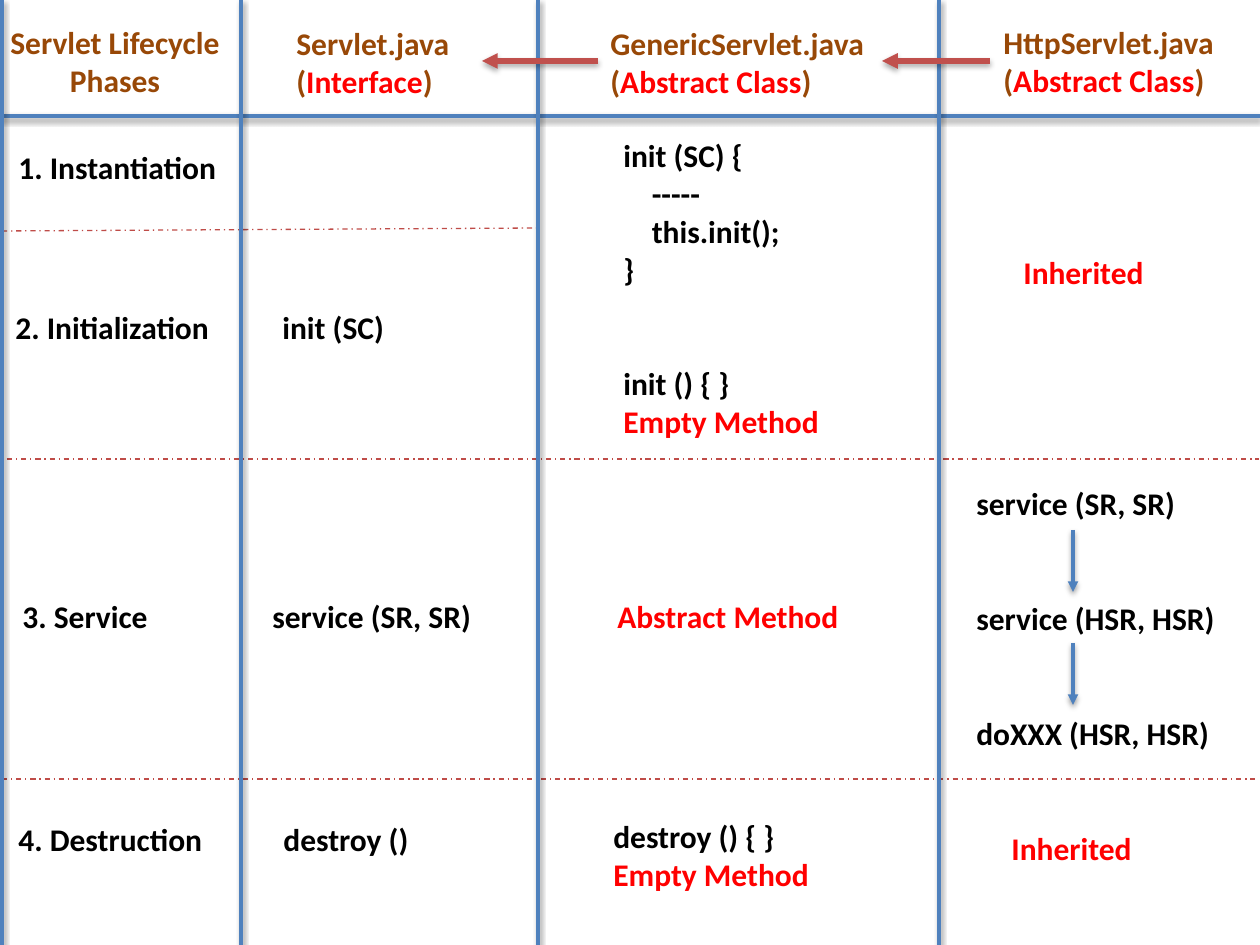
from lxml import etree
from pptx import Presentation, util as u
from pptx.dml.color import RGBColor
from pptx.enum import dml, shapes, text
from pptx.oxml import parse_xml
from pptx.oxml.ns import nsdecls, qn

PX = 914400 / 126
BLACK = RGBColor(0x00, 0x00, 0x00)
RED = RGBColor(0xFF, 0x00, 0x00)
BROWN = RGBColor(0x98, 0x48, 0x07)
BLUE = RGBColor(0x4F, 0x81, 0xBD)
BRICK = RGBColor(0xC0, 0x50, 0x4D)
DASH_RED = RGBColor(0xBF, 0x4C, 0x48)
TWO_LINES = 44

prs = Presentation()
prs.slide_width = u.Inches(10)
prs.slide_height = u.Inches(7.5)
s = prs.slides.add_slide(prs.slide_layouts[6])


def add_text(x, y, w, h, paragraphs, wrap=True, align=text.PP_ALIGN.LEFT):
    """Each paragraph is (space before in points, [(run text, colour), ...])."""
    sp = s.shapes.add_textbox(*(int(v * PX) for v in (x, y, w, h)))
    tf = sp.text_frame
    tf.word_wrap = wrap
    for i, (gap, runs) in enumerate(paragraphs):
        p = tf.paragraphs[0] if i == 0 else tf.add_paragraph()
        p.alignment = align
        if gap:
            p.space_before = u.Pt(gap)
        p.font.name, p.font.size, p.font.bold = "Calibri", u.Pt(18), True
        if len(runs) == 1:
            p.font.color.rgb = runs[0][1]
        for content, color in runs:
            r = p.add_run()
            r.text = content
            if len(runs) > 1:
                r.font.color.rgb = color


def add_line(x1, y1, x2, y2, color, width, dash=None, arrow=False, shadow=None):
    """shadow is (distance in EMU, opacity in thousandths of a percent)."""
    c = s.shapes.add_connector(shapes.MSO_CONNECTOR.STRAIGHT,
                               *(int(v * PX) for v in (x1, y1, x2, y2)))
    c.line.color.rgb = color
    c.line.width = u.Pt(width)
    if dash:
        c.line.dash_style = dash
    if arrow:
        etree.SubElement(c.line._get_or_add_ln(), qn("a:tailEnd"), type="triangle")
    effect = ""
    if shadow:
        distance, alpha = shadow
        effect = (f'<a:outerShdw blurRad="40000" dist="{distance}" dir="5400000" rotWithShape="0">'
                  f'<a:srgbClr val="000000"><a:alpha val="{alpha}"/></a:srgbClr></a:outerShdw>')
    c._element.spPr.append(parse_xml(f'<a:effectLst {nsdecls("a")}>{effect}</a:effectLst>'))


# Column headings
add_text(-8, 17, 246, 89, [(0, [("Servlet Lifecycle Phases", BROWN)])],
         align=text.PP_ALIGN.CENTER)
for x, y, w, name, kind in [
    (284, 18, 199, "Servlet.java", "Interface"),
    (598, 18, 285, "GenericServlet.java", "Abstract Class"),
    (991, 17, 248, "HttpServlet.java", "Abstract Class"),
]:
    add_text(x, y, w, 89, [(0, [(name, BROWN)]),
                           (0, [("(", BROWN), (kind, RED), (")", BROWN)])])

# Single-line cells
for x, y, w, label, color, wrap in [
    (6, 142, 226, "1. Instantiation", BLACK, True),
    (3, 302, 219, "2. Initialization", BLACK, True),
    (10, 591, 192, "3. Service", BLACK, True),
    (6, 814, 217, "4. Destruction", BLACK, True),
    (270, 302, 171, "init (SC)", BLACK, True),
    (260, 591, 228, "service (SR, SR)", BLACK, True),
    (271, 814, 171, "destroy ()", BLACK, True),
    (605, 591, 248, "Abstract Method", RED, False),
    (1011, 247, 146, "Inherited", RED, False),
    (999, 823, 146, "Inherited", RED, False),
]:
    add_text(x, y, w, 50, [(0, [(label, color)])], wrap)

# Method cells
for x, y, w, h, lines in [
    (611, 130, 226, 319, [(0, "init (SC) {", BLACK), (0, "    -----", BLACK),
                          (0, "    this.init();", BLACK), (0, "}", BLACK),
                          (TWO_LINES, "init () { }", BLACK), (0, "Empty Method", RED)]),
    (601, 811, 280, 89, [(0, "destroy () { }", BLACK), (0, "Empty Method", RED)]),
    (964, 478, 266, 280, [(0, "service (SR, SR)", BLACK),
                          (TWO_LINES, "service (HSR, HSR)", BLACK),
                          (TWO_LINES, "doXXX (HSR, HSR)", BLACK)]),
]:
    add_text(x, y, w, h, [(gap, [(line, color)]) for gap, line, color in lines])

# Row separators
for x1, y1, x2, y2 in [(2, 231, 538, 228), (7, 459, 1259, 459), (2, 779, 1255, 779)]:
    add_line(x1, y1, x2, y2, DASH_RED, 0.75, dash=dml.MSO_LINE.DASH_DOT)

# Grid lines
add_line(0, 116, 1260, 116, BLUE, 2, shadow=(20000, 38000))
for x in (2, 241, 538, 939):
    add_line(x, 0, x, 945, BLUE, 2, shadow=(20000, 38000))

# Call order and inheritance arrows
for y in (530, 643):
    add_line(1073, y, 1073, y + 62, BLUE, 2, arrow=True, shadow=(20000, 38000))
for x1, x2 in [(598, 482), (990, 882)]:
    add_line(x1, 61, x2, 61, BRICK, 3, arrow=True, shadow=(23000, 35000))

prs.save("out.pptx")
